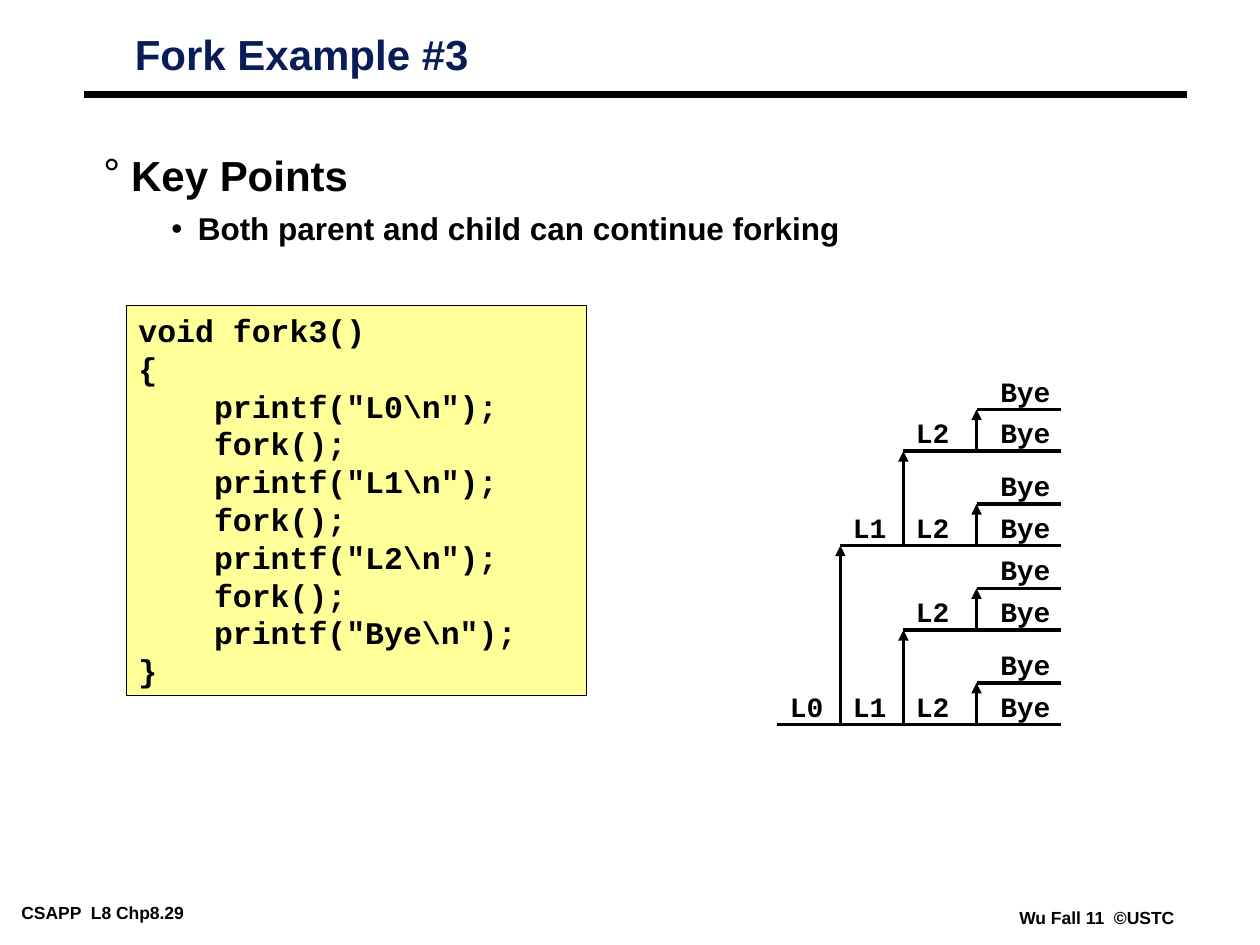
from lxml import etree
from pptx import Presentation
from pptx.dml.color import RGBColor
from pptx.enum.shapes import MSO_CONNECTOR, MSO_SHAPE
from pptx.enum.text import MSO_ANCHOR, MSO_AUTO_SIZE, PP_ALIGN
from pptx.oxml.ns import qn
from pptx.util import Inches, Pt

STRAIGHT = MSO_CONNECTOR.STRAIGHT
RECTANGLE = MSO_SHAPE.RECTANGLE
TOP = MSO_ANCHOR.TOP
LEFT = PP_ALIGN.LEFT
FIXED = MSO_AUTO_SIZE.NONE
GROW = MSO_AUTO_SIZE.SHAPE_TO_FIT_TEXT

COLORS = {"ink": "000000", "title": "081D58", "code": "FFFF99"}
SANS = "Arial"
MONO = "Courier New"
NARROW = (0.07, 0.03)
WIDE = (0.1, 0.05)

CODE = r"""void fork3()
{
    printf("L0\n");
    fork();
    printf("L1\n");
    fork();
    printf("L2\n");
    fork();
    printf("Bye\n");
}"""

POINTS = [
    ("Key Points", dict(size=24, level=0, bullet="°", margin=0.22, indent=-0.22, line=0.75, before=0)),
    ("Both parent and child can continue forking",
     dict(size=18, level=1, bullet="•", margin=0.75, indent=-0.21, line=0.85, before=9)),
]

FORK_COLUMNS = [6.17, 6.67, 7.17, 7.75]
FORK_RISES = [1.42, 0.75, 0.33]
PROCESS_END = 8.42
BYE_LEFT = 7.84
LABEL_RISE = 0.33


def color(name):
    return RGBColor.from_string(COLORS[name])


def place(shape, left, top, width, height):
    shape.left, shape.top = Inches(left), Inches(top)
    shape.width, shape.height = Inches(width), Inches(height)


def set_frame(frame, insets, wrap, auto_size):
    frame.margin_left = frame.margin_right = Inches(insets[0])
    frame.margin_top = frame.margin_bottom = Inches(insets[1])
    frame.vertical_anchor = TOP
    frame.word_wrap = wrap
    frame.auto_size = auto_size


def write_line(para, text, size, font=SANS, ink="ink", line=None):
    para.alignment = LEFT
    if line:
        para.line_spacing = line
    span = para.add_run()
    span.text = text
    span.font.name = font
    span.font.size = Pt(size)
    span.font.bold = True
    span.font.color.rgb = color(ink)


def write_lines(frame, text, **style):
    for index, words in enumerate(text.split("\n")):
        para = frame.add_paragraph() if index else frame.paragraphs[0]
        write_line(para, words, **style)


def add_label(page, text, left, top, width, height, insets=WIDE, **style):
    box = page.shapes.add_textbox(*map(Inches, (left, top, width, height)))
    set_frame(box.text_frame, insets, False, GROW)
    write_lines(box.text_frame, text, **style)


def add_line(page, start, end, weight=2, arrow=False):
    line = page.shapes.add_connector(STRAIGHT, *map(Inches, (*start, *end)))
    line.line.color.rgb = color("ink")
    line.line.width = Pt(weight)
    properties = line._element.spPr
    if arrow:
        etree.SubElement(properties.find(qn("a:ln")), qn("a:tailEnd"), type="triangle")
    etree.SubElement(properties, qn("a:effectLst"))


def set_bullet(para, bullet, margin, indent):
    properties = para._p.get_or_add_pPr()
    properties.set("marL", str(Inches(margin)))
    properties.set("indent", str(Inches(indent)))
    bullet_color = etree.SubElement(properties, qn("a:buClr"))
    etree.SubElement(bullet_color, qn("a:srgbClr"), val=COLORS["ink"])
    etree.SubElement(properties, qn("a:buFont"), typeface=SANS)
    etree.SubElement(properties, qn("a:buChar"), char=bullet)


def add_title(page, text):
    title = page.shapes.title
    place(title, 1, 0.25, 6.07, 0.63)
    set_frame(title.text_frame, NARROW, True, FIXED)
    write_lines(title.text_frame, text, size=24, ink="title", line=0.87)


def add_points(page, points):
    body = page.placeholders[1]
    place(body, 0.75, 1.25, 8.58, 2.42)
    frame = body.text_frame
    set_frame(frame, NARROW, True, FIXED)
    for index, (text, style) in enumerate(points):
        para = frame.add_paragraph() if index else frame.paragraphs[0]
        para.level = style["level"]
        para.space_before = Pt(style["before"])
        set_bullet(para, style["bullet"], style["margin"], style["indent"])
        write_line(para, text, style["size"], line=style["line"])


def add_code(page, code):
    box = page.shapes.add_shape(RECTANGLE, *map(Inches, (1, 2.42, 3.65, 3.1)))
    box.shadow.inherit = False
    box.fill.solid()
    box.fill.fore_color.rgb = color("code")
    box.line.color.rgb = color("ink")
    box.line.width = Pt(0.25)
    set_frame(box.text_frame, WIDE, False, GROW)
    write_lines(box.text_frame, code, size=18, font=MONO)


def add_process(page, first_level, height):
    add_line(page, (FORK_COLUMNS[first_level], height), (PROCESS_END, height))
    label_top = height - LABEL_RISE
    for level in range(first_level, len(FORK_RISES)):
        add_label(page, f"L{level}", FORK_COLUMNS[level], label_top, 0.48, 0.37, size=16, font=MONO)
        fork_left = FORK_COLUMNS[level + 1]
        child_height = height - FORK_RISES[level]
        add_line(page, (fork_left, height), (fork_left, child_height), arrow=True)
        add_process(page, level + 1, child_height)
    add_label(page, "Bye", BYE_LEFT, label_top, 0.61, 0.37, size=16, font=MONO)


def main():
    deck = Presentation()
    deck.slide_width, deck.slide_height = Inches(10), Inches(7.5)
    page = deck.slides.add_slide(deck.slide_layouts[1])
    add_label(page, "CSAPP  L8 Chp8.29", 0.1, 7.13, 1.95, 0.22, insets=NARROW, size=10)
    add_label(page, "Wu Fall 11  ©USTC", 8.02, 7.17, 1.38, 0.22, insets=NARROW, size=10)
    add_line(page, (0.67, 0.75), (9.42, 0.75), weight=4.5)
    add_title(page, "Fork Example #3")
    add_points(page, POINTS)
    add_code(page, CODE)
    add_process(page, 0, 5.75)
    deck.save("out.pptx")


if __name__ == "__main__":
    main()
